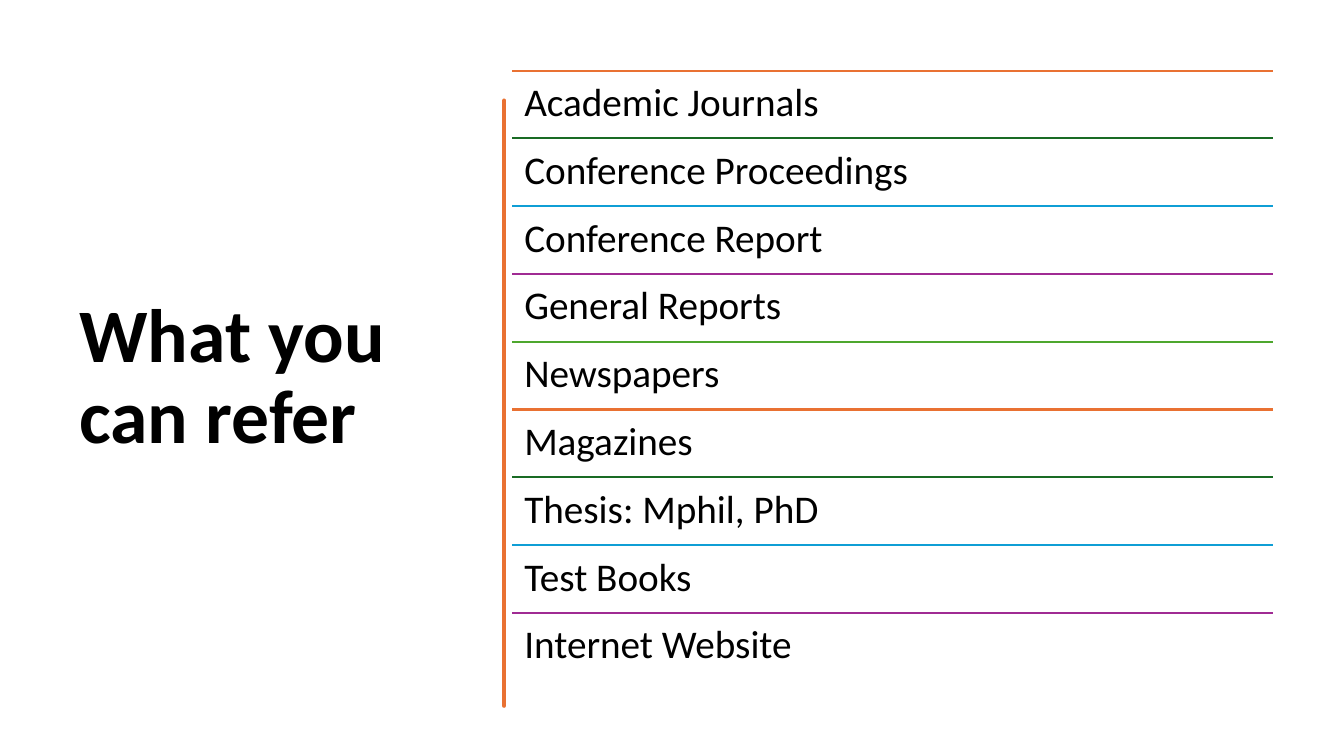
import pptx
import pptx.dml.color
import pptx.enum.shapes
import pptx.enum.text
import pptx.oxml.ns
import pptx.util
from dataclasses import dataclass
from lxml import etree


@dataclass(frozen=True)
class Theme:
    font: str = "Calibri"
    ink: str = "000000"
    brush: str = "E97132"
    rules: tuple = ("E97132", "196B24", "0F9ED5", "A02B93", "4EA72E")
    title: int = 54
    item: int = 28
    thick: float = 3.25
    thin: float = 1.5


THEME = Theme()
WIDE, HIGH = 13.33, 7.5
LEFT, TOP, SPAN, STEP = 5.08, 0.7, 7.55, 0.6725
ITEMS = (
    "Academic Journals",
    "Conference Proceedings",
    "Conference Report",
    "General Reports",
    "Newspapers",
    "Magazines",
    "Thesis: Mphil, PhD",
    "Test Books",
    "Internet Website",
)
CREST, FOOT = 0.84, 6.76
RIGHT_EDGE = (
    (1.46, 0.02, 0.02), (2.26, -0.02, 0.01), (2.94, -0.01, 0), (3.56, -0.01, 0.02),
    (4.36, -0.02, 0.04), (5.1, -0.04, -0.03), (5.84, 0.02, 0.02), (FOOT, -0.02, 0.01),
)
LEFT_EDGE = (
    (6.13, 0.01, -0.02), (5.57, 0.01, 0.01), (4.77, -0.01, -0.01), (4.15, 0, -0.02),
    (3.35, 0.01, -0.01), (2.5, 0.01, -0.01), (1.81, 0.01, 0.02), (CREST, -0.03, 0.04),
)


def tint(code):
    return pptx.dml.color.RGBColor.from_string(code)


def apply(target, values):
    for name, value in values.items():
        setattr(target, name, value)


def flat(shape):
    props = shape._element.spPr
    etree.SubElement(props, pptx.oxml.ns.qn("a:effectLst"))


def add_text(slide, words, box, size, inset, anchor, bold=False):
    shape = slide.shapes.add_textbox(*map(pptx.util.Inches, box))
    frame = shape.text_frame
    across, down = map(pptx.util.Inches, inset)
    apply(frame, {
        "word_wrap": True, "vertical_anchor": anchor,
        "margin_left": across, "margin_right": across,
        "margin_top": down, "margin_bottom": down,
    })
    para = frame.paragraphs[0]
    para.line_spacing = 0.9
    run = para.add_run()
    run.text = words
    apply(run.font, {"name": THEME.font, "size": pptx.util.Pt(size), "bold": bold})
    run.font.color.rgb = tint(THEME.ink)


def add_rule(slide, top, code):
    ends = map(pptx.util.Inches, (LEFT, top, LEFT + SPAN, top))
    rule = slide.shapes.add_connector(pptx.enum.shapes.MSO_CONNECTOR.STRAIGHT, *ends)
    rule.line.width = pptx.util.Pt(THEME.thin)
    rule.line.color.rgb = tint(code)
    flat(rule)


def trace(side, start, edge, parts=8):
    points = []
    for end, first, second in edge:
        for part in range(1, parts + 1):
            t = part / parts
            bend = 3 * t * (1 - t) * ((1 - t) * first + t * second)
            points.append((side + bend, start + t * (end - start)))
        start = end
    return points


def add_brush(slide, right, left):
    points = trace(right, CREST, RIGHT_EDGE) + [(left, FOOT)] + trace(left, FOOT, LEFT_EDGE)
    path = slide.shapes.build_freeform(right, CREST, scale=pptx.util.Inches(1))
    path.add_line_segments(points, close=True)
    brush = path.convert_to_shape()
    brush.fill.solid()
    brush.fill.fore_color.rgb = tint(THEME.brush)
    brush.line.width = pptx.util.Pt(THEME.thick)
    brush.line.color.rgb = tint(THEME.brush)
    etree.SubElement(brush.line._ln, pptx.oxml.ns.qn("a:round"))
    brush.shadow.inherit = False


def add_list(slide):
    anchor = pptx.enum.text.MSO_ANCHOR.TOP
    for row, words in enumerate(ITEMS):
        top = TOP + row * STEP
        add_rule(slide, top, THEME.rules[row % len(THEME.rules)])
        add_text(slide, words, (LEFT, top, SPAN, STEP), THEME.item, (0.12, 0.12), anchor)


def main():
    deck = pptx.Presentation()
    apply(deck, {
        "slide_width": pptx.util.Inches(WIDE),
        "slide_height": pptx.util.Inches(HIGH),
    })
    slide = deck.slides.add_slide(deck.slide_layouts[6])
    middle = pptx.enum.text.MSO_ANCHOR.MIDDLE
    add_text(slide, "What you can refer", (0.69, TOP, 3.74, 6.11), THEME.title,
             (0.1, 0.05), middle, True)
    add_brush(slide, 4.75, 4.73)
    add_list(slide)
    deck.save("out.pptx")


if __name__ == "__main__":
    main()
